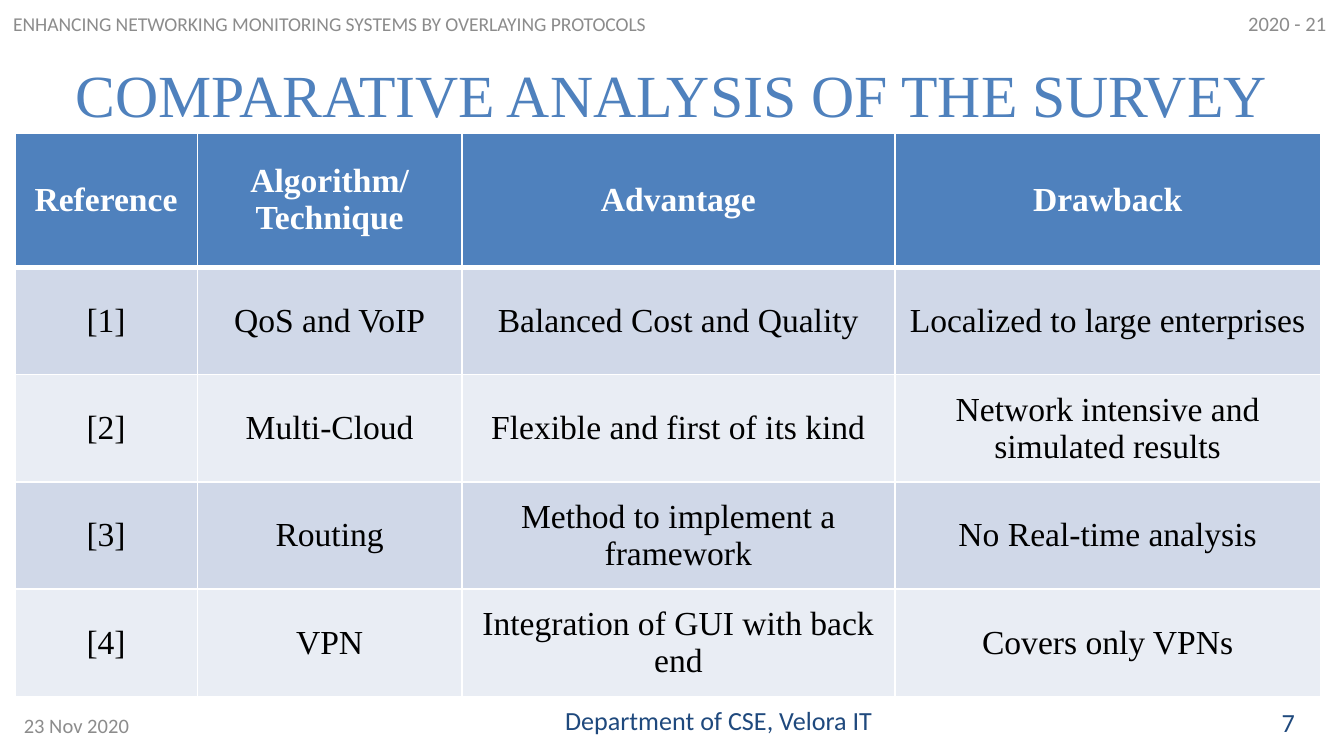
from lxml.etree import SubElement
from pptx import Presentation
from pptx.dml.color import RGBColor
from pptx.enum.text import MSO_ANCHOR, PP_ALIGN
from pptx.oxml.ns import qn
from pptx.util import Cm, Pt

COLORS = {
    "blue": "4F81BD", "navy": "1F497D", "gray": "8C8C8C", "white": "FFFFFF",
    "black": "000000", "odd": "D0D8E8", "even": "E9EDF4",
}
SERIF, SANS = "Times New Roman", "Calibri"
COLUMN_WIDTHS = [3.45, 5, 8.18, 8.05]
ROW_HEIGHTS = [2.54] + [2.03] * 4
SURVEY = [
    ["Reference", "Algorithm/\vTechnique", "Advantage", "Drawback"],
    ["[1]", "QoS and VoIP", "Balanced Cost and Quality", "Localized to large enterprises"],
    ["[2]", "Multi-Cloud", "Flexible and first of its kind", "Network intensive and simulated results"],
    ["[3]", "Routing", "Method to implement a framework", "No Real-time analysis"],
    ["[4]", "VPN", "Integration of GUI with back end", "Covers only VPNs"],
]


def color(name):
    """Return the named palette colour."""
    return RGBColor.from_string(COLORS[name])


def write_text(frame, text, *, size, fill, font=SANS, bold=False, align=PP_ALIGN.LEFT):
    """Write one formatted, vertically centred paragraph into a text frame."""
    frame.word_wrap = True
    frame.vertical_anchor = MSO_ANCHOR.MIDDLE
    paragraph = frame.paragraphs[0]
    paragraph.text = text
    paragraph.alignment = align
    for run in paragraph.runs:
        run.font.name = font
        run.font.size = Pt(size)
        run.font.bold = bold
        run.font.color.rgb = color(fill)


def add_label(slide, text, box, **text_format):
    """Add a text box at a left, top, width, height box in centimetres."""
    shape = slide.shapes.add_textbox(*map(Cm, box))
    write_text(shape.text_frame, text, **text_format)


def add_title(slide, text, box):
    """Place and format the title placeholder."""
    title = slide.shapes.title
    title.left, title.top, title.width, title.height = map(Cm, box)
    write_text(title.text_frame, text, size=32, fill="blue", font=SERIF, align=PP_ALIGN.CENTER)


def add_header(slide, left, top, width):
    """Add the project name and the academic year along the top."""
    add_label(slide, "ENHANCING NETWORKING MONITORING SYSTEMS BY OVERLAYING PROTOCOLS",
              (left, top + 0.2, 16.71, 0.51), size=10.5, fill="gray")
    add_label(slide, "2020 - 21", (left + width - 2.06, top - 0.05, 2.74, 0.97),
              size=11, fill="gray")


def add_footer(slide, left, top, width):
    """Add the date, the department and the page number along the bottom."""
    add_label(slide, "23 Nov 2020", (left + 0.2, top + 0.1, 5.92, 0.76), size=11, fill="gray")
    accent = dict(size=14, fill="navy", align=PP_ALIGN.RIGHT)
    add_label(slide, "Department of CSE, Velora IT", (left + 8.69, top, 8.05, 0.76), **accent)
    add_label(slide, "7", (left + width - 1.47, top + 0.03, 0.79, 0.76), **accent)


def set_borders(cell, bottom_width):
    """Draw white cell borders with the given bottom width in points."""
    properties = cell._tc.get_or_add_tcPr()
    widths = {"a:lnL": 1, "a:lnR": 1, "a:lnT": 1, "a:lnB": bottom_width}
    for position, (tag, width) in enumerate(widths.items()):
        line = SubElement(properties, qn(tag), w=str(Pt(width)))
        fill = SubElement(line, qn("a:solidFill"))
        SubElement(fill, qn("a:srgbClr"), val=COLORS["white"])
        properties.insert(position, line)


def add_survey_table(slide, left, top):
    """Add the comparison table with a header row and banded body rows."""
    box = (left, top, sum(COLUMN_WIDTHS), sum(ROW_HEIGHTS))
    table = slide.shapes.add_table(len(SURVEY), len(COLUMN_WIDTHS), *map(Cm, box)).table
    for column, width in zip(table.columns, COLUMN_WIDTHS):
        column.width = Cm(width)
    for index, (row, height, values) in enumerate(zip(table.rows, ROW_HEIGHTS, SURVEY)):
        row.height = Cm(height)
        header = index == 0
        band = "blue" if header else "odd" if index % 2 else "even"
        for cell, value in zip(row.cells, values):
            write_text(cell.text_frame, value, size=18, font=SERIF, bold=header,
                       fill="white" if header else "black", align=PP_ALIGN.CENTER)
            cell.vertical_anchor = MSO_ANCHOR.MIDDLE
            cell.fill.solid()
            cell.fill.fore_color.rgb = color(band)
            set_borders(cell, 3 if header or index == 0 else 1)
            if index == 1:
                cell._tc.tcPr.find(qn("a:lnT")).set("w", str(Pt(3)))


def build_presentation():
    """Build and save the survey comparison slide."""
    presentation = Presentation()
    presentation.slide_width, presentation.slide_height = Cm(25.4), Cm(14.29)
    slide = presentation.slides.add_slide(presentation.slide_layouts[5])
    add_title(slide, "COMPARATIVE ANALYSIS OF THE SURVEY", (0, 0.58, 25.4, 2.39))
    add_header(slide, 0, 0, 25.4)
    add_survey_table(slide, 0.28, 2.51)
    add_footer(slide, 0, 13.23, 25.4)
    presentation.save("out.pptx")


build_presentation()
